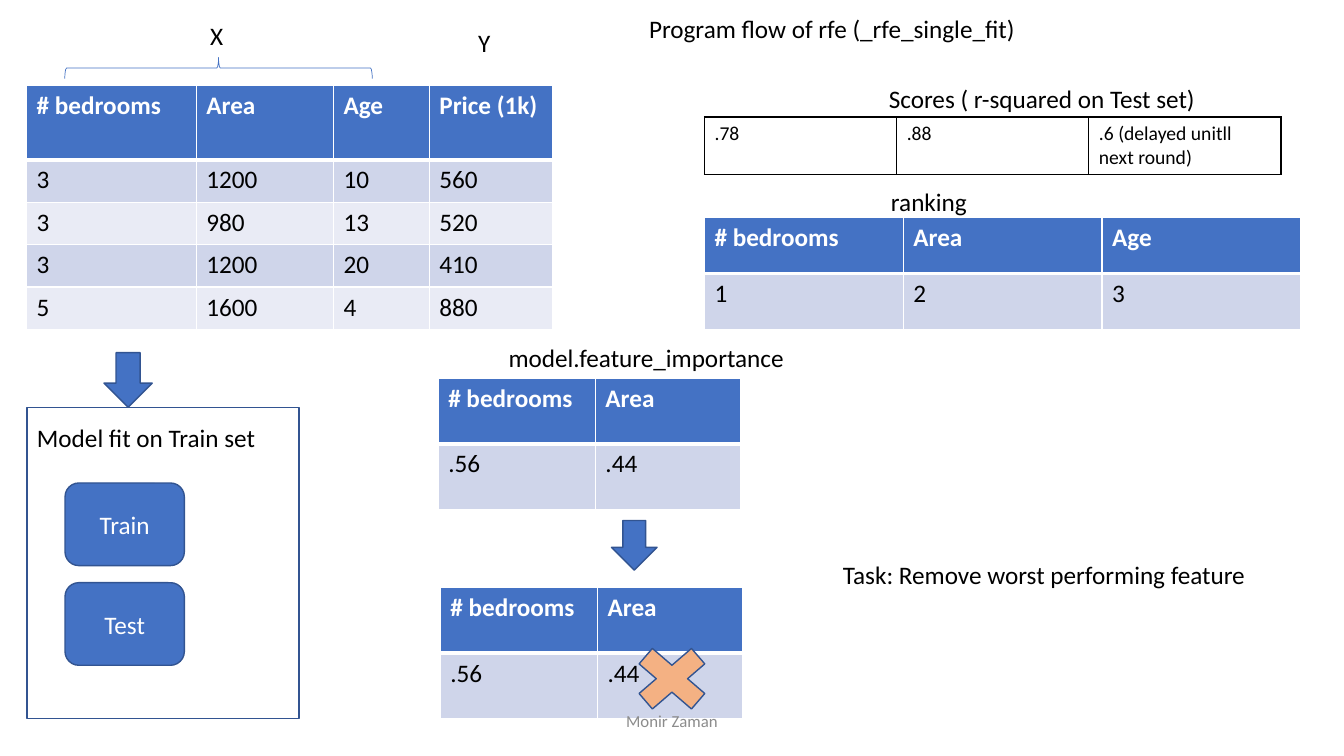
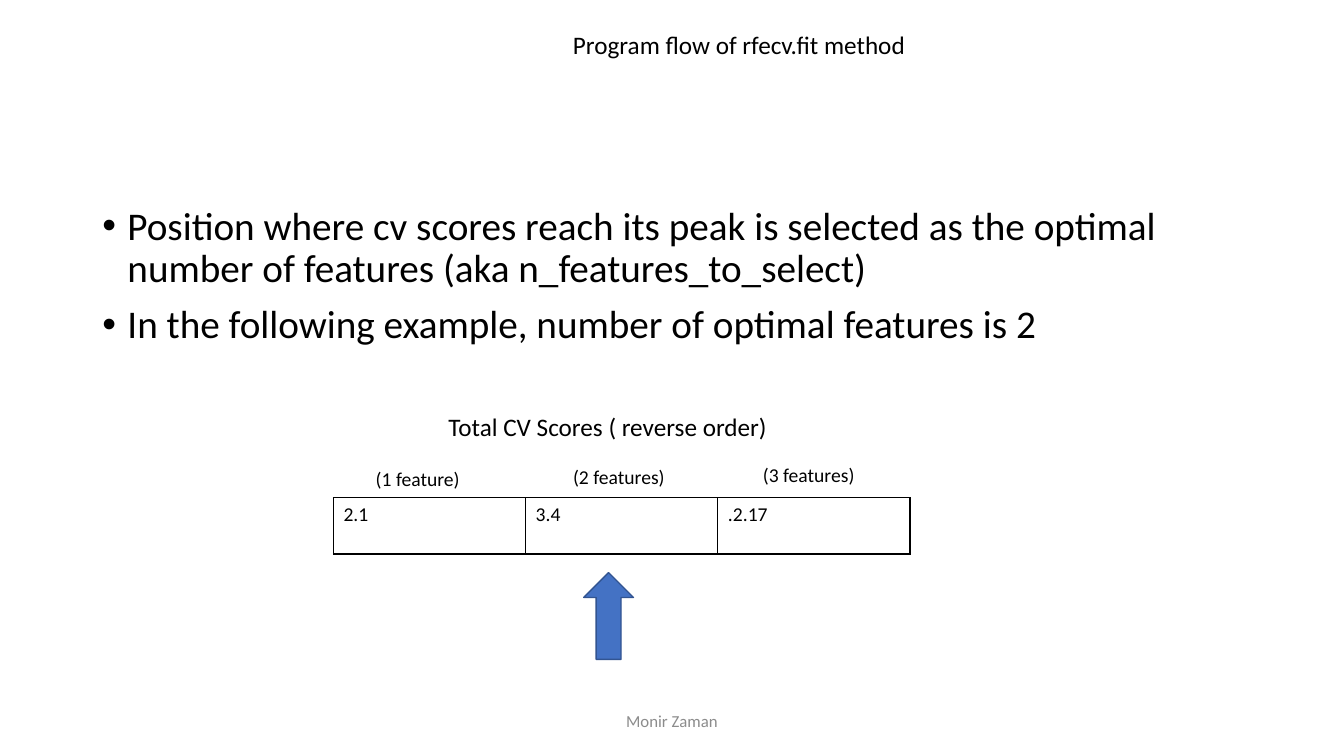
from dataclasses import dataclass

from lxml import etree
from pptx import Presentation, util as u
from pptx.dml import color
from pptx.enum import shapes, text
from pptx.oxml import ns

KIND = shapes.MSO_SHAPE
ALIGN = text.PP_ALIGN


@dataclass(frozen=True)
class Theme:
    """Colours, font and type sizes shared by all slides."""
    font: str = "Calibri"
    ink: str = "000000"
    paper: str = "FFFFFF"
    accent: str = "4472C4"
    outline: str = "325491"
    cross: str = "F4B183"
    muted: str = "8C8C8C"
    bands: tuple = ("CFD5EA", "E9EBF5")
    body: int = 28
    label: int = 18
    small: int = 14
    footer: int = 12


THEME = Theme()


def rgb(value):
    """Turn a hex string into a colour."""
    return color.RGBColor.from_string(value)


def points(*values):
    """Convert numbers to lengths in points."""
    return [u.Pt(value) for value in values]


def apply(target, values):
    """Set every attribute named in a dict of format values."""
    for name, value in values.items():
        setattr(target, name, value)


def write(paragraph, words, size=THEME.label, ink=THEME.ink, bold=False):
    """Add one formatted run to a paragraph."""
    run = paragraph.add_run()
    run.text = words
    apply(run.font, {"name": THEME.font, "size": u.Pt(size), "bold": bold})
    run.font.color.rgb = rgb(ink)


def set_indent(paragraph, left, first=0):
    """Set the left margin and first-line indent of a paragraph."""
    properties = paragraph._p.get_or_add_pPr()
    properties.set("marL", str(u.Pt(left)))
    properties.set("indent", str(u.Pt(first)))
    return properties


def add_label(slide, words, left, top, width, height=29, indent=0, wrap=True, **style):
    """Add a one-line text box that grows with its text."""
    box = slide.shapes.add_textbox(*points(left, top, width, height))
    apply(box.text_frame, {"word_wrap": wrap,
                           "auto_size": text.MSO_AUTO_SIZE.SHAPE_TO_FIT_TEXT})
    paragraph = box.text_frame.paragraphs[0]
    if indent:
        set_indent(paragraph, indent)
    write(paragraph, words, **style)


def add_bullets(slide, items, left, top, width, height):
    """Add the bulleted body text."""
    frame = slide.shapes.add_textbox(*points(left, top, width, height)).text_frame
    frame.word_wrap = True
    for index, item in enumerate(items):
        paragraph = frame.add_paragraph() if index else frame.paragraphs[0]
        apply(paragraph, {"line_spacing": 0.9, "space_before": u.Pt(10)})
        properties = set_indent(paragraph, 18, -18)
        etree.SubElement(properties, ns.qn("a:buFont"), typeface="Arial")
        etree.SubElement(properties, ns.qn("a:buChar"), char="\u2022")
        write(paragraph, item, THEME.body)


def add_figure(slide, kind, left, top, width, height, fill=THEME.accent,
               line=THEME.outline, weight=1, rotation=0, words=None):
    """Add a preset shape, with centred white words if given."""
    shape = slide.shapes.add_shape(kind, *points(left, top, width, height))
    shape.shadow.inherit = False
    shape.rotation = rotation
    if fill:
        shape.fill.solid()
        shape.fill.fore_color.rgb = rgb(fill)
    else:
        shape.fill.background()
    shape.line.color.rgb = rgb(line)
    shape.line.width = u.Pt(weight)
    if words:
        shape.text_frame.vertical_anchor = text.MSO_ANCHOR.MIDDLE
        paragraph = shape.text_frame.paragraphs[0]
        paragraph.alignment = ALIGN.CENTER
        write(paragraph, words, ink=THEME.paper)


def set_borders(cell, ink, top=1, bottom=1):
    """Draw the four borders of a table cell."""
    properties = cell._tc.get_or_add_tcPr()
    for side, weight in (("L", 1), ("R", 1), ("T", top), ("B", bottom)):
        line = etree.SubElement(properties, ns.qn(f"a:ln{side}"), w=str(u.Pt(weight)))
        fill = etree.SubElement(line, ns.qn("a:solidFill"))
        etree.SubElement(fill, ns.qn("a:srgbClr"), val=ink)


def add_grid(slide, rows, left, top, widths, heights):
    """Add a table of the given sizes and return it."""
    frame = slide.shapes.add_table(len(rows), len(widths), *points(
        left, top, sum(widths), sum(heights)))
    table = frame.table
    for column, width in zip(table.columns, widths):
        column.width = u.Pt(width)
    for row, height in zip(table.rows, heights):
        row.height = u.Pt(height)
    return table


def add_data_table(slide, rows, left, top, widths, heights):
    """Add a table with a blue header and banded rows."""
    table = add_grid(slide, rows, left, top, widths, heights)
    for index, values in enumerate(rows):
        header = index == 0
        fill = THEME.accent if header else THEME.bands[(index - 1) % 2]
        for column, value in enumerate(values):
            cell = table.cell(index, column)
            set_borders(cell, THEME.paper, top=3 if index == 1 else 1,
                        bottom=3 if header else 1)
            cell.fill.solid()
            cell.fill.fore_color.rgb = rgb(fill)
            write(cell.text_frame.paragraphs[0], value, bold=header,
                  ink=THEME.paper if header else THEME.ink)


def add_score_row(slide, values, left, top, height):
    """Add a one-row table of scores with black borders."""
    table = add_grid(slide, [values], left, top, [137.3] * len(values), [height])
    apply(table, {"first_row": False, "horz_banding": False})
    for column, value in enumerate(values):
        cell = table.cell(0, column)
        set_borders(cell, THEME.ink)
        cell.fill.background()
        write(cell.text_frame.paragraphs[0], value, THEME.small)


def add_footer(slide):
    """Add the shared footer in front of the slide's content."""
    box = slide.shapes.add_textbox(*points(318, 500.5, 324, 28.75))
    apply(box.text_frame, {"word_wrap": True, "vertical_anchor": text.MSO_ANCHOR.MIDDLE})
    paragraph = box.text_frame.paragraphs[0]
    paragraph.alignment = ALIGN.CENTER
    write(paragraph, "Monir Zaman", THEME.footer, THEME.muted)


def fill_single_fit(slide):
    """Fill the slide on the flow of one elimination round."""
    add_label(slide, "Program flow of rfe (_rfe_single_fit)", 456.5, 6, 306)

    add_label(slide, "X", 13, 11, 263.5, indent=130)
    add_label(slide, "Y", 334.5, 16, 92)
    add_figure(slide, KIND.LEFT_BRACE, 148.6, -61.2, 15, 219.6, fill=None,
               line=THEME.accent, weight=0.5, rotation=90)
    houses = [("# bedrooms", "Area", "Age", "Price (1k)"),
              ("3", "1200", "10", "560"),
              ("3", "980", "13", "520"),
              ("3", "1200", "20", "410"),
              ("5", "1600", "4", "880")]
    add_data_table(slide, houses, 19, 61.2, [121.2, 98, 68.5, 88.3], [53] + [30.3] * 4)

    add_figure(slide, KIND.RIGHT_ARROW, 72, 254.2, 39, 34.5, rotation=90)
    add_label(slide, "Model fit on Train set", 19.3, 298, 183.5)
    for index, words in enumerate(("Train", "Test")):
        add_figure(slide, KIND.ROUNDED_RECTANGLE, 46.5, 345 + 71.2 * index, 85.2, 59,
                   words=words)
    add_figure(slide, KIND.RECTANGLE, 19.3, 291, 194.4, 222.3, fill=None)

    add_label(slide, "model.feature_importance", 356.2, 241, 226)
    importance = [("# bedrooms", "Area"), (".56", ".44")]
    for left, top in ((313, 270), (314.5, 419.4)):
        add_data_table(slide, importance, left, top, [112.3, 103.7], [47] * 2)
    add_figure(slide, KIND.DOWN_ARROW, 436.8, 371.8, 32.6, 35.5)
    add_figure(slide, KIND.MATH_MULTIPLY, 444, 453.8, 72, 62, fill=THEME.cross)

    add_label(slide, "Scores ( r-squared on Test set)", 627.8, 56, 243.5)
    add_score_row(slide, (".78", ".88", ".6 (delayed unitll next round)"), 503.2, 83.5, 41)
    add_label(slide, "ranking", 629.3, 129.8, 226)
    ranking = [("# bedrooms", "Area", "Age"), ("1", "2", "3")]
    add_data_table(slide, ranking, 503.2, 155, [142] * 3, [40.3] * 2)
    add_label(slide, "Task: Remove worst performing feature", 559, 396.3, 341.3,
              indent=36, wrap=False)


def fill_cv_fit(slide):
    """Fill the slide on choosing the number of features."""
    add_label(slide, "Program flow of rfecv.fit method", 402.2, 17.5, 328.3)
    add_bullets(slide, (
        "Position where cv scores reach its peak is selected as the optimal "
        "number of features (aka n_features_to_select)",
        "In the following example, number of optimal features is 2",
    ), 66, 143.8, 828, 342.6)
    add_label(slide, "Total CV Scores ( reverse order)", 313.2, 290.4, 292.3)
    for words, left, top in (("(1 feature)", 261.3, 330.3),
                             ("(2 features)", 402.2, 328.8),
                             ("(3 features)", 537.8, 327)):
        add_label(slide, words, left, top, 104.4, 24.3, size=THEME.small)
    add_score_row(slide, ("2.1", "3.4", ".2.17"), 238.2, 355.5, 40.3)
    add_figure(slide, KIND.UP_ARROW, 417, 409, 35.5, 62)


def main():
    """Build and save the presentation."""
    presentation = Presentation()
    apply(presentation, {"slide_width": u.Pt(960), "slide_height": u.Pt(540)})
    for fill_slide in (fill_single_fit, fill_cv_fit):
        slide = presentation.slides.add_slide(presentation.slide_layouts[6])
        fill_slide(slide)
        add_footer(slide)
    presentation.save("out.pptx")


main()
